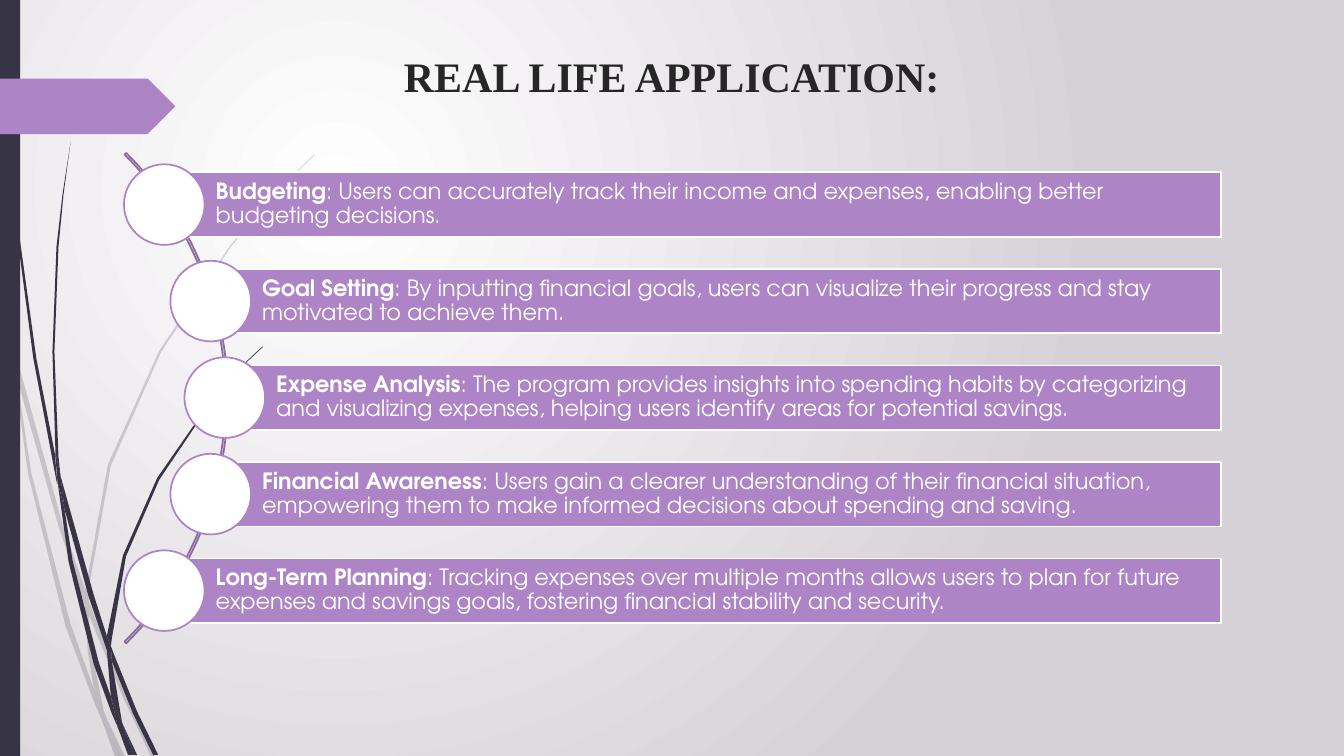
from lxml import etree
from pptx import Presentation
from pptx.dml.color import RGBColor
from pptx.enum.shapes import MSO_SHAPE
from pptx.enum.text import MSO_ANCHOR, PP_ALIGN
from pptx.oxml.ns import qn
from pptx.util import Inches, Pt

COLORS = {
    "dark": "373545", "purple": "AD84C6", "plum": "8B6A9F",
    "white": "FFFFFF", "mist": "D6D1D6", "ink": "262626",
}
BODY = "TeX Gyre Adventor"
RIGHT, TOP, STEP = 12.11, 1.63, 3.83 / 4
DISC, BAR = 0.8, 0.64

# Left edge of the disc, heading, explanation
USES = [
    (1.23, "Budgeting", "Users can accurately track their income and expenses, "
     "enabling better budgeting decisions."),
    (1.69, "Goal Setting", "By inputting financial goals, users can visualize "
     "their progress and stay motivated to achieve them."),
    (1.83, "Expense Analysis", "The program provides insights into spending "
     "habits by categorizing and visualizing expenses, helping users identify "
     "areas for potential savings."),
    (1.69, "Financial Awareness", "Users gain a clearer understanding of their "
     "financial situation, empowering them to make informed decisions about "
     "spending and saving."),
    (1.23, "Long-Term Planning", "Tracking expenses over multiple months allows "
     "users to plan for future expenses and savings goals, fostering financial "
     "stability and security."),
]

# Corner points of each piece of grass, pale tuft and dark tuft
PALE = [
    [(0.11, 3.5), (0.09, 3.22), (0, 2.82), (0, 2.99), (0.1, 3.44)],
    [(0.58, 5.22), (0.84, 5.99), (0.85, 5.86), (0.62, 5.2), (0.14, 3.45),
     (0.17, 3.76)],
    [(0.92, 6.07), (0.88, 5.96), (0.88, 6.1), (1.23, 6.94), (1.5, 7.51),
     (1.55, 7.51), (1.27, 6.92)],
    [(1.19, 7.51), (1.24, 7.51), (1.05, 7.11)],
    [(0.93, 6.83), (0.7, 6.19), (0.31, 4.69), (0.17, 3.76), (0.11, 3.5),
     (0.28, 4.7), (0.65, 6.21), (0.92, 6.93), (1.01, 7.14), (0.99, 7.07)],
    [(0.84, 5.99), (0.87, 6.46), (0.93, 6.83), (0.96, 6.92), (1.05, 7.11),
     (1.03, 7.06), (0.91, 6.46), (0.88, 6.1), (0.88, 6.08)],
    [(0.88, 5.84), (1.1, 4.62), (1.6, 3.49), (2.29, 2.45), (2.68, 1.98),
     (2.9, 1.75), (3.12, 1.54), (3.12, 1.53), (2.89, 1.75), (2.68, 1.97),
     (2.28, 2.44), (1.58, 3.48), (1.07, 4.61), (0.85, 5.84), (0.85, 5.86),
     (0.88, 5.96)],
    [(1.01, 7.14), (1.14, 7.51), (1.19, 7.51)],
    [(0.88, 6.08), (0.88, 6.1), (0.88, 5.96), (0.85, 5.86), (0.84, 5.99)],
    [(0.96, 6.92), (0.93, 6.83), (0.99, 7.07), (1.01, 7.14), (1.19, 7.51),
     (1.05, 7.11)],
]
DARK = [
    [(0.07, 1.1), (0.17, 2.33), (0.33, 3.55), (0.56, 4.77), (0.57, 4.81),
     (0.55, 4.57), (0.55, 4.53), (0.36, 3.55), (0.19, 2.32), (0.08, 1.09),
     (0.05, 0.48), (0.04, 0), (0.03, 0), (0.04, 0.48)],
    [(0.88, 5.92), (1.06, 6.45), (1.06, 6.33), (1.06, 6.31), (0.93, 5.9),
     (0.6, 4.72), (0.64, 5.05)],
    [(1.13, 6.49), (1.1, 6.41), (1.11, 6.56), (1.32, 7.08), (1.52, 7.49),
     (1.57, 7.49), (1.36, 7.06)],
    [(1.1, 6.91), (0.98, 6.57), (0.72, 5.56), (0.64, 5.05), (0.57, 4.77),
     (0.68, 5.57), (0.93, 6.59), (1.11, 7.08), (1.17, 7.22), (1.16, 7.17)],
    [(0.6, 4.72), (0.58, 4.53), (0.54, 3.49), (0.58, 2.45), (0.63, 1.93),
     (0.7, 1.41), (0.62, 1.93), (0.56, 2.45), (0.52, 3.49), (0.55, 4.49)],
    [(1.33, 7.49), (1.36, 7.49), (1.22, 7.19)],
    [(0.57, 4.77), (0.64, 5.05), (0.6, 4.72), (0.55, 4.49), (0.55, 4.53)],
    [(1.11, 6.33), (1.25, 5.52), (1.58, 4.76), (2.05, 4.06), (2.31, 3.74),
     (2.45, 3.59), (2.61, 3.44), (2.6, 3.44), (2.45, 3.58), (2.31, 3.73),
     (2.04, 4.05), (1.56, 4.74), (1.22, 5.51), (1.06, 6.31), (1.1, 6.41)],
    [(1.17, 7.22), (1.27, 7.49), (1.31, 7.49)],
    [(1.06, 6.45), (1.1, 6.91), (1.16, 7.06), (1.22, 7.19), (1.21, 7.16),
     (1.11, 6.56), (1.09, 6.51)],
    [(1.06, 6.45), (1.09, 6.51), (1.11, 6.56), (1.1, 6.41), (1.06, 6.31),
     (1.06, 6.33)],
    [(1.16, 7.06), (1.1, 6.91), (1.16, 7.17), (1.17, 7.22), (1.3, 7.49),
     (1.33, 7.49), (1.22, 7.19)],
]


def rgb(name):
    return RGBColor.from_string(COLORS[name])


def paint(shape, fill=None, line=None):
    shape.shadow.inherit = False
    if fill:
        shape.fill.solid()
        shape.fill.fore_color.rgb = rgb(fill)
    else:
        shape.fill.background()
    if line:
        shape.line.color.rgb = rgb(line)
        shape.line.width = Pt(1.25)
    else:
        shape.line.fill.background()


def draw(slide, kind, left, top, width, height, **look):
    shape = slide.shapes.add_shape(
        kind, Inches(left), Inches(top), Inches(width), Inches(height))
    paint(shape, **look)
    return shape


def write(shape, runs, font, size, color, align=PP_ALIGN.LEFT, space=1.0,
          inset=(0.1, 0.05, 0.1, 0.05)):
    """Fill a shape with one paragraph of (text, bold) runs."""
    frame = shape.text_frame
    frame.word_wrap = True
    frame.vertical_anchor = MSO_ANCHOR.MIDDLE
    (frame.margin_left, frame.margin_top,
     frame.margin_right, frame.margin_bottom) = map(Inches, inset)
    para = frame.paragraphs[0]
    para.alignment = align
    para.line_spacing = space
    for text, bold in runs:
        run = para.add_run()
        run.text = text
        run.font.name = font
        run.font.size = Pt(size)
        run.font.bold = bold
        run.font.color.rgb = rgb(color)


def backdrop(slide):
    """Give the slide a round gradient centred in its upper left."""
    fill = slide.background.fill
    fill.gradient()
    for stop, name, pos in zip(fill.gradient_stops, ("white", "mist"), (0, 1)):
        stop.color.rgb = rgb(name)
        stop.position = pos
    lin = slide.background._cSld.find(".//" + qn("a:lin"))
    ring = etree.Element(qn("a:path"), {"path": "circle"})
    etree.SubElement(ring, qn("a:fillToRect"),
                     {"l": "50000", "t": "50000", "r": "100000", "b": "100000"})
    lin.getparent().replace(lin, ring)


def blade(slide, points, alpha):
    """Draw one piece of grass at an opacity in percent."""
    first, *rest = [(Inches(x), Inches(y)) for x, y in points]
    pen = slide.shapes.build_freeform(*first)
    pen.add_line_segments(rest, close=True)
    shape = pen.convert_to_shape()
    paint(shape, fill="dark")
    if alpha < 100:
        tint = shape._element.spPr.find(".//" + qn("a:srgbClr"))
        etree.SubElement(tint, qn("a:alpha"), {"val": str(alpha * 1000)})


def item(slide, row, left, head, text):
    top = TOP + row * STEP
    start = left + DISC / 2
    bar = draw(slide, MSO_SHAPE.RECTANGLE, start, top + (DISC - BAR) / 2,
               RIGHT - start, BAR, fill="purple", line="white")
    write(bar, [(head, True), (": " + text, False)], BODY, 16, "white",
          space=0.9, inset=(0.51, 0.04, 0.04, 0.04))
    draw(slide, MSO_SHAPE.OVAL, left, top, DISC, DISC,
         fill="white", line="purple")


def main():
    deck = Presentation()
    deck.slide_width, deck.slide_height = Inches(13.33), Inches(7.5)
    slide = deck.slides.add_slide(deck.slide_layouts[6])
    backdrop(slide)
    for tuft, alpha in ((PALE, 20), (DARK, 100)):
        for points in tuft:
            blade(slide, points, alpha)
    draw(slide, MSO_SHAPE.RECTANGLE, 0, 0, 0.2, 7.5, fill="dark")
    draw(slide, MSO_SHAPE.PENTAGON, 0, 0.78, 1.74, 0.55, fill="purple")

    title = slide.shapes.add_textbox(
        Inches(2), Inches(0.06), Inches(9.33), Inches(1.14))
    write(title, [("REAL LIFE APPLICATION:", True)], "Times New Roman", 30,
          "ink", align=PP_ALIGN.CENTER, space=1.5)

    arc = draw(slide, MSO_SHAPE.BLOCK_ARC, -4.62, 0.51, 6.88, 6.88, line="plum")
    for i, value in enumerate((189, 27, 0.0034)):
        arc.adjustments[i] = value
    for row, use in enumerate(USES):
        item(slide, row, *use)
    deck.save("out.pptx")


if __name__ == "__main__":
    main()
